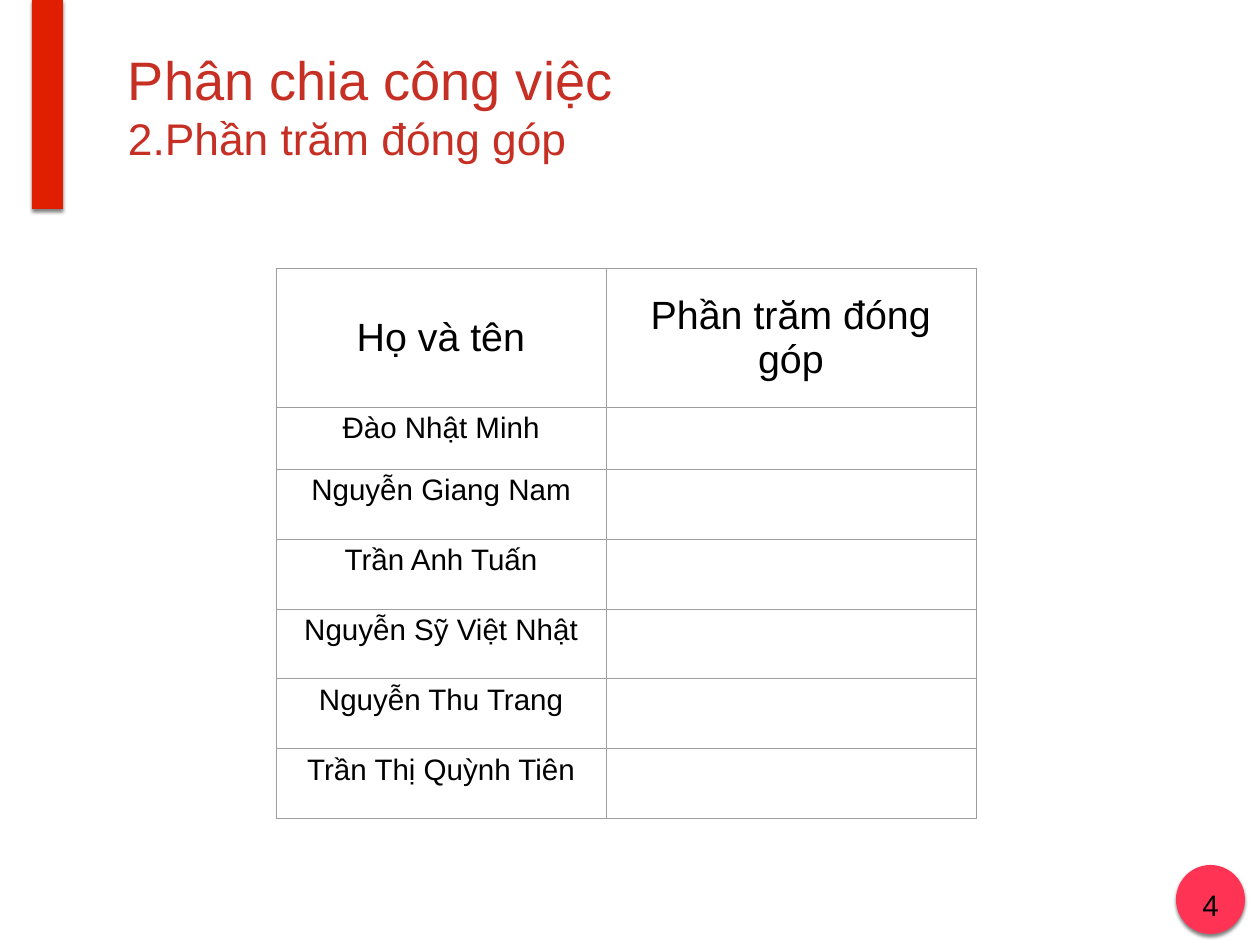
import pptx
import pptx.dml.color
import pptx.enum.shapes
import pptx.enum.text
import pptx.oxml
import pptx.oxml.ns
import pptx.util

SCALE = 914400 / 88.6
ALIGN = pptx.enum.text.PP_ALIGN
ANCHOR = pptx.enum.text.MSO_ANCHOR
SHAPE = pptx.enum.shapes.MSO_SHAPE

THEME = {
    "font": "Arial",
    "title": {"size": 44, "color": "C63024"},
    "subtitle": {"size": 36, "color": "C63024"},
    "header": {"size": 32, "color": "000000"},
    "body": {"size": 24, "color": "000000"},
    "circle": "FF3455",
    "bar": "DF1F00",
    "border": "9E9E9E",
    "shadow": "000000",
}


def px(*values):
    return [pptx.util.Emu(round(value * SCALE)) for value in values]


def write(frame, lines, align, frame_format):
    for name, value in frame_format.items():
        setattr(frame, name, value)
    para = frame.paragraphs[0]
    para.alignment = align
    for index, (text, style) in enumerate(lines):
        if index:
            para.add_line_break()
        span = para.add_run()
        span.text = text
        font_format = {"name": THEME["font"], "size": pptx.util.Pt(THEME[style]["size"])}
        for name, value in font_format.items():
            setattr(span.font, name, value)
        span.font.color.rgb = pptx.dml.color.RGBColor.from_string(THEME[style]["color"])


deck = pptx.Presentation()
deck.slide_width, deck.slide_height = px(1260, 945)
page = deck.slides.add_slide(deck.slide_layouts[6])
namespace = pptx.oxml.ns.nsdecls("a")

decorations = [
    (SHAPE.OVAL, (1176, 865, 69, 69), "circle"),
    (SHAPE.RECTANGLE, (32, 0, 31, 209), "bar"),
]
for kind, place, color in decorations:
    decoration = page.shapes.add_shape(kind, *px(*place))
    decoration.shadow.inherit = False
    decoration.fill.solid()
    decoration.fill.fore_color.rgb = pptx.dml.color.RGBColor.from_string(THEME[color])
    decoration.line.fill.background()
    effects = decoration.element.spPr.find(pptx.oxml.ns.qn("a:effectLst"))
    effects.append(pptx.oxml.parse_xml(
        f'<a:outerShdw {namespace} blurRad="38100" dist="25400" dir="5400000" rotWithShape="0">'
        f'<a:srgbClr val="{THEME["shadow"]}"><a:alpha val="50000"/></a:srgbClr></a:outerShdw>'
    ))

title_lines = [("Phân chia công việc", "title"), ("2.Phần trăm đóng góp", "subtitle")]
text_boxes = [
    ((123, 11, 1076, 188), title_lines, ALIGN.LEFT, ANCHOR.MIDDLE),
    ((1189, 882, 43, 46), [("4", "body")], ALIGN.CENTER, ANCHOR.TOP),
]
for place, lines, align, anchor in text_boxes:
    box = page.shapes.add_textbox(*px(*place))
    margins = {f"margin_{side}": px(5)[0] for side in ("left", "top", "right", "bottom")}
    write(box.text_frame, lines, align, {"word_wrap": True, "vertical_anchor": anchor, **margins})

members = [
    "Đào Nhật Minh",
    "Nguyễn Giang Nam",
    "Trần Anh Tuấn",
    "Nguyễn Sỹ Việt Nhật",
    "Nguyễn Thu Trang",
    "Trần Thị Quỳnh Tiên",
]
rows = [("Họ và tên", "Phần trăm đóng góp")] + [(member, "") for member in members]
column_widths = [330, 370]
row_heights = [139, 62] + [70] * 5

table = page.shapes.add_table(
    len(rows), len(column_widths), *px(276, 268, sum(column_widths), sum(row_heights))
).table
for name, value in {"first_row": False, "horz_banding": False}.items():
    setattr(table, name, value)
for column, width in zip(table.columns, px(*column_widths)):
    column.width = width
for row, height in zip(table.rows, px(*row_heights)):
    row.height = height

for row_index, texts in enumerate(rows):
    style = "body" if row_index else "header"
    for column_index, text in enumerate(texts):
        cell = table.cell(row_index, column_index)
        cell.vertical_anchor = ANCHOR.TOP if row_index else ANCHOR.MIDDLE
        if text:
            write(cell.text_frame, [(text, style)], ALIGN.CENTER, {})
        properties = cell._tc.get_or_add_tcPr()
        for side in "LRTB":
            properties.append(pptx.oxml.parse_xml(
                f'<a:ln{side} {namespace} w="9525"><a:solidFill>'
                f'<a:srgbClr val="{THEME["border"]}"/></a:solidFill></a:ln{side}>'
            ))
        cell.fill.background()

deck.save("out.pptx")
